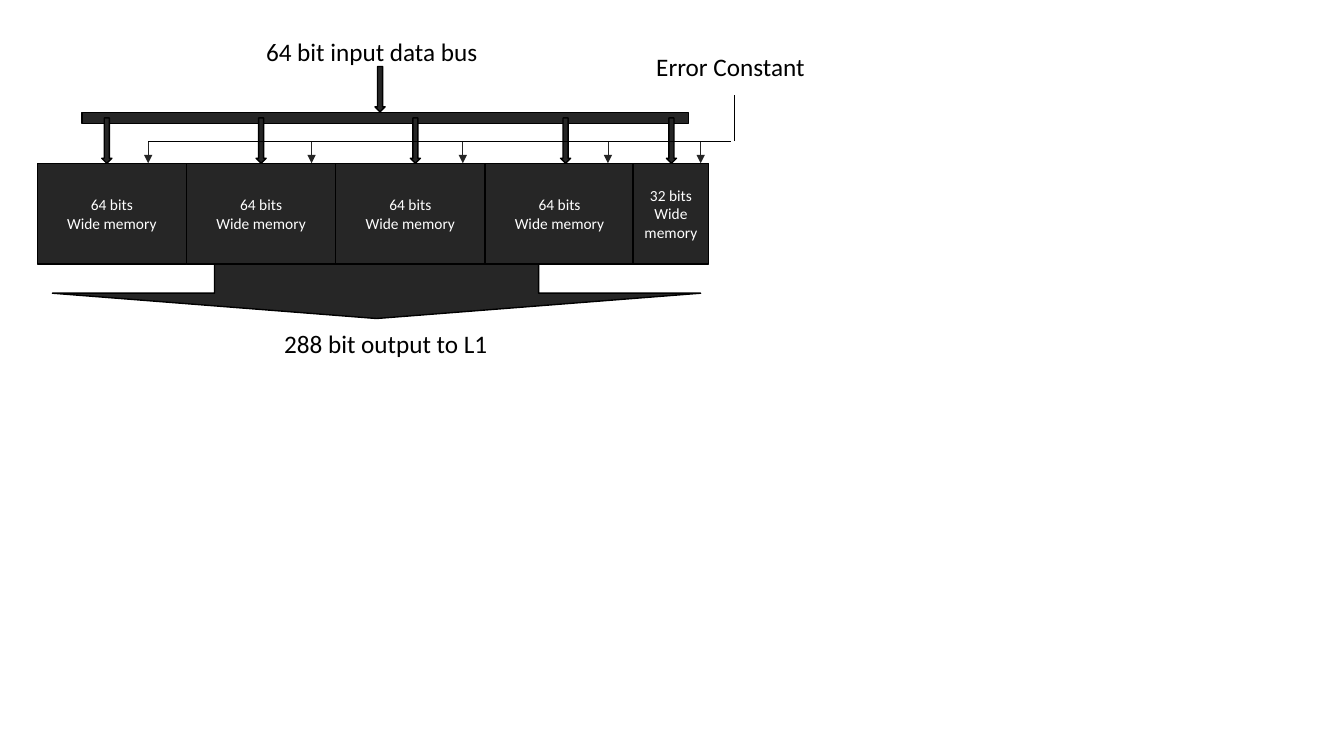
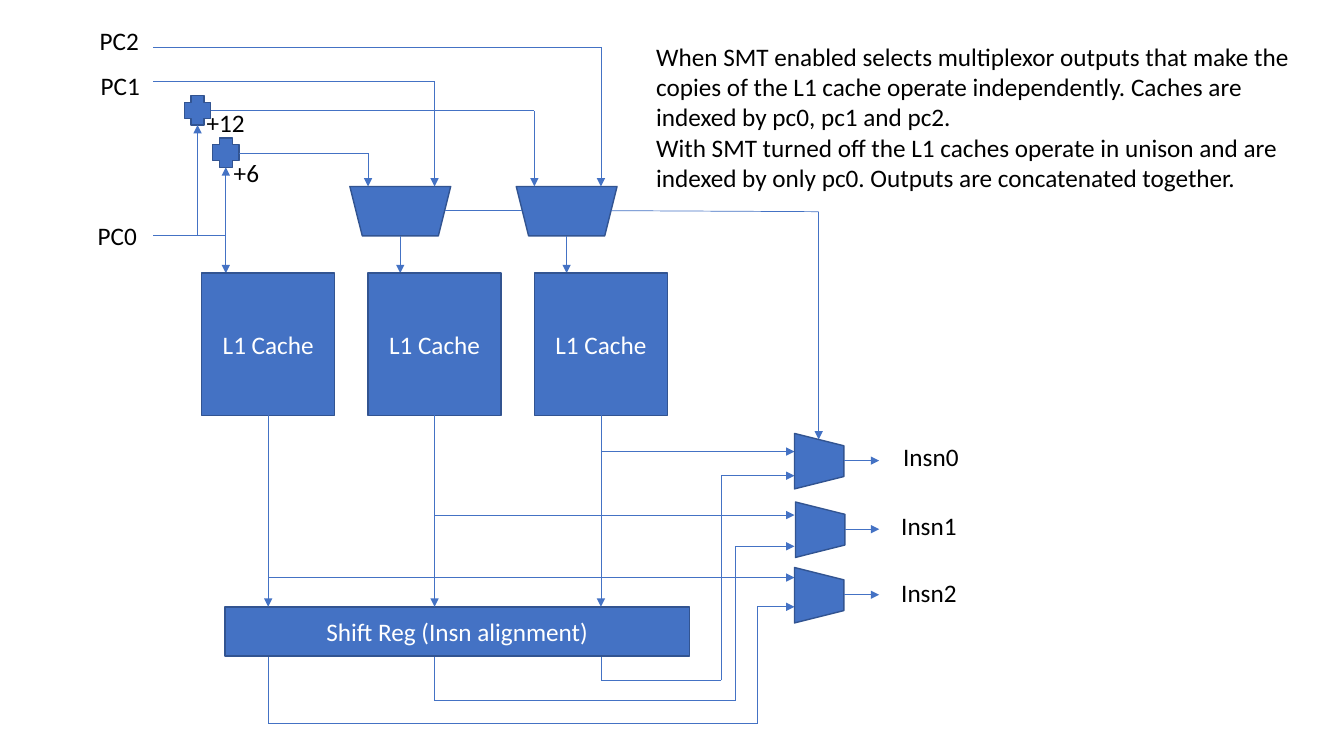
"""Build two block diagrams: a wide memory and a multithreaded L1 cache."""
from itertools import pairwise

from lxml.etree import SubElement
from pptx import Presentation
from pptx.dml.color import RGBColor
from pptx.enum.shapes import MSO_CONNECTOR, MSO_SHAPE
from pptx.enum.text import MSO_ANCHOR, PP_ALIGN
from pptx.oxml.ns import qn
from pptx.util import Inches, Pt

COLORS = {
    "dark": "262626",
    "black": "000000",
    "white": "FFFFFF",
    "blue": "4472C4",
    "navy": "325491",
}
OUTLINE = {"dark": "black", "blue": "navy"}
FONT = "Calibri"


def rgb(name):
    """Return a named colour."""
    return RGBColor.from_string(COLORS[name])


def write(tf, lines, size, color, align):
    """Fill a text frame with one paragraph per line."""
    for i, line in enumerate(lines):
        p = tf.paragraphs[0] if i == 0 else tf.add_paragraph()
        p.text = line
        p.alignment = align
        p.font.name = FONT
        p.font.size = Pt(size)
        p.font.color.rgb = rgb(color)


def add_block(s, kind, box, fill, lines=(), size=18, rotation=0):
    """Add an outlined shape with optional centred text."""
    sp = s.shapes.add_shape(kind, *map(Inches, box))
    sp.shadow.inherit = False
    sp.rotation = rotation
    sp.fill.solid()
    sp.fill.fore_color.rgb = rgb(fill)
    sp.line.color.rgb = rgb(OUTLINE[fill])
    sp.line.width = Pt(1)
    tf = sp.text_frame
    tf.word_wrap = True
    tf.vertical_anchor = MSO_ANCHOR.MIDDLE
    write(tf, lines, size, "white", PP_ALIGN.CENTER)
    return sp


def add_label(s, box, *lines, wrap=False):
    """Add a black text box."""
    tf = s.shapes.add_textbox(*map(Inches, box)).text_frame
    tf.word_wrap = wrap
    write(tf, lines, 18, "black", PP_ALIGN.LEFT)


def add_wire(s, *points, color="blue", arrow=True):
    """Join points with straight lines, ending in an optional arrowhead."""
    for start, end in pairwise(points):
        line = s.shapes.add_connector(
            MSO_CONNECTOR.STRAIGHT, *map(Inches, start + end))
        line.line.color.rgb = rgb(color)
        line.line.width = Pt(0.5)
        if arrow and end == points[-1]:
            SubElement(line.line._get_or_add_ln(), qn("a:tailEnd"), type="triangle")
        SubElement(line._element.spPr, qn("a:effectLst"))


def build_memory(s):
    """Draw the memory banks between the input bus and the wide output."""
    top, pitch = 1.62, 1.48
    banks = [(0.37 + i * pitch, pitch, "64 bits") for i in range(4)]
    for left, width, bits in banks + [(6.28, 0.75, "32 bits")]:
        add_block(s, MSO_SHAPE.RECTANGLE, (left, top, width, 1), "dark",
                  (bits, "Wide memory"), 11)

    add_block(s, MSO_SHAPE.MATH_MINUS, (-0.27, 0.94, 8.18, 0.46), "dark")
    drops = [(x, 1.17) for x in (1.01, 2.54, 4.07, 5.56, 6.61)]
    for left, y in drops + [(3.72, 0.66)]:
        add_block(s, MSO_SHAPE.DOWN_ARROW, (left, y, 0.1, 0.45), "dark")
    output = add_block(s, MSO_SHAPE.DOWN_ARROW, (0.52, 2.62, 6.43, 0.54), "dark")
    output.adjustments[1] = 0.465

    error_y = 1.4
    for x in (1.47, 3.09, 4.59, 6.03, 6.95):
        add_wire(s, (x, error_y), (x, top), color="dark")
    add_wire(s, (1.47, error_y), (7.25, error_y), color="black", arrow=False)
    add_wire(s, (7.28, error_y), (7.28, 0.94), color="black", arrow=False)

    add_label(s, (2.54, 0.31, 2.89, 0.4), "64 bit input data bus", wrap=True)
    add_label(s, (2.72, 3.21, 2.89, 0.4), "288 bit output to L1", wrap=True)
    add_label(s, (6.41, 0.46, 1.69, 0.4), "Error Constant")


def build_inputs(s):
    """Draw the program counters, adders and input multiplexors."""
    mux_top, mux_bottom, cache_top = 1.85, 2.34, 2.71
    for left in (3.47, 5.12):
        add_block(s, MSO_SHAPE.TRAPEZOID, (left, mux_top, 1, 0.49), "blue", rotation=180)
        add_wire(s, (left + 0.5, mux_bottom), (left + 0.5, cache_top))

    for left, top, target in ((2.11, 1.37, 3.65), (1.83, 0.95, 5.3)):
        add_block(s, MSO_SHAPE.CROSS, (left, top, 0.26, 0.29), "blue")
        x, y = left + 0.13, top + 0.15
        add_wire(s, (x, mux_bottom), (x, top + 0.29))
        add_wire(s, (left + 0.26, y), (target, y), (target, mux_top))

    add_wire(s, (1.52, mux_bottom), (2.24, mux_bottom), (2.24, cache_top))
    for x, y in ((4.31, 0.81), (5.96, 0.47)):
        add_wire(s, (1.52, y), (x, y), (x, mux_top))

    add_wire(s, (4.41, 2.09), (5.18, 2.09), arrow=False)
    add_wire(s, (6.06, 2.09), (8.12, 2.1), (8.12, 4.36))

    for text, left, top, width in (
        ("PC0", 0.87, 2.14, 0.59),
        ("PC1", 0.9, 0.65, 0.59),
        ("PC2", 0.89, 0.2, 0.59),
        ("+6", 2.22, 1.51, 0.46),
        ("+12", 1.95, 1.02, 0.58),
    ):
        add_label(s, (left, top, width, 0.4), text)


def build_outputs(s):
    """Draw the caches, shift register and output multiplexors."""
    cache_bottom, reg_top, reg_bottom, mux_left = 4.11, 6.02, 6.52, 7.88
    add_block(s, MSO_SHAPE.RECTANGLE, (2.23, reg_top, 4.61, 0.49), "blue",
              ("Shift Reg (Insn alignment)",))
    routes = (
        (5.73, 6.02, 7.18, 7.51),
        (5.11, 5.42, 6.95, 7.29),
        (4.48, 4.72, 6.75, 7.15),
    )
    for i, (direct_y, aligned_y, return_y, riser_x) in enumerate(routes):
        left = 2 + 1.65 * i
        x = left + 0.66
        add_block(s, MSO_SHAPE.RECTANGLE, (left, 2.71, 1.32, 1.41), "blue", ("L1 Cache",))
        add_wire(s, (x, cache_bottom), (x, reg_top))
        add_wire(s, (x, direct_y), (mux_left, direct_y))
        add_wire(s, (x, reg_bottom), (x, return_y), (riser_x, return_y),
                 (riser_x, aligned_y), (mux_left, aligned_y))

    muxes = ((7.85, 4.33, 8.86, 4.33), (7.86, 5.01, 8.84, 5.01), (7.85, 5.66, 8.84, 5.68))
    for i, (left, top, label_left, label_top) in enumerate(muxes):
        add_block(s, MSO_SHAPE.TRAPEZOID, (left, top, 0.55, 0.49), "blue", rotation=90)
        add_wire(s, (left + 0.52, top + 0.24), (8.72, top + 0.24))
        add_label(s, (label_left, label_top, 0.76, 0.4), f"Insn{i}")


def build_cache(s):
    """Draw the cache diagram and its explanation."""
    build_inputs(s)
    build_outputs(s)
    add_label(
        s, (6.41, 0.36, 6.49, 1.62),
        "When SMT enabled selects multiplexor outputs that make the copies of the L1 "
        "cache operate independently. Caches are indexed by pc0, pc1 and pc2.",
        "With SMT turned off the L1 caches operate in unison and are indexed by only "
        "pc0. Outputs are concatenated together.",
        wrap=True)


def main():
    """Build and save the presentation."""
    prs = Presentation()
    prs.slide_width, prs.slide_height = Inches(13.33), Inches(7.5)
    for build in (build_memory, build_cache):
        build(prs.slides.add_slide(prs.slide_layouts[6]))
    prs.save("out.pptx")


main()
